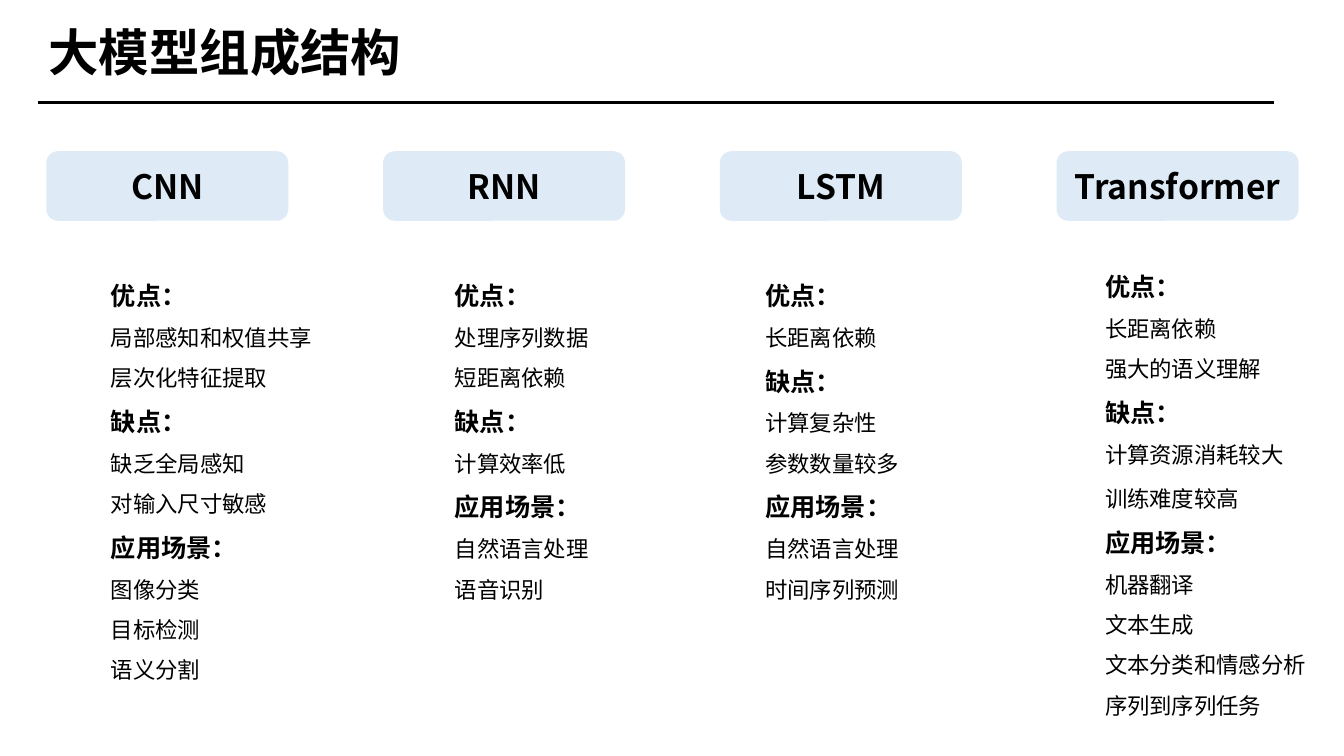
from lxml import etree
from pptx import Presentation
from pptx.dml.color import RGBColor
from pptx.enum.shapes import MSO_CONNECTOR as CONN, MSO_SHAPE as SHAPE
from pptx.enum.text import MSO_ANCHOR as ANCHOR, MSO_AUTO_SIZE as AUTO, PP_ALIGN as ALIGN
from pptx.oxml.ns import qn
from pptx.util import Inches, Pt

COLORS = {"text": "000000", "pill": "DEEBF7"}
MODELS = [
    ("CNN", (1, 2.58, 2.25, 4.29), [
        "优点：", "局部感知和权值共享", "层次化特征提取",
        "缺点：", "缺乏全局感知", "对输入尺寸敏感",
        "应用场景：", "图像分类", "目标检测", "语义分割"]),
    ("RNN", (4.41, 2.58, 1.78, 3.48), [
        "优点：", "处理序列数据", "短距离依赖",
        "缺点：", "计算效率低",
        "应用场景：", "自然语言处理", "语音识别"]),
    ("LSTM", (7.49, 2.58, 1.95, 3.48), [
        "优点：", "长距离依赖",
        "缺点：", "计算复杂性", "参数数量较多",
        "应用场景：", "自然语言处理", "时间序列预测"]),
    ("Transformer", (10.86, 2.49, 2.27, 4.74), [
        "优点：", "长距离依赖", "强大的语义理解",
        "缺点：", "计算资源消耗较大", "训练难度较高",
        "应用场景：", "机器翻译", "文本生成", "文本分类和情感分析", "序列到序列任务"]),
]


def style(p, size, bold, name="Arial"):
    p.font.name, p.font.size, p.font.bold = name, Pt(size), bold
    p.font.color.rgb = RGBColor.from_string(COLORS["text"])


def place(sp, box):
    sp.left, sp.top, sp.width, sp.height = [Inches(v) for v in box]
    tf = sp.text_frame
    tf.word_wrap = True
    tf.auto_size = AUTO.SHAPE_TO_FIT_TEXT
    tf.vertical_anchor = ANCHOR.TOP
    return tf


prs = Presentation()
prs.slide_width, prs.slide_height = Inches(13.33), Inches(7.5)
s = prs.slides.add_slide(prs.slide_layouts.get_by_name("Comparison"))

tf = place(s.shapes.title, (0.38, 0.16, 4.88, 0.71))
tf.text = "大模型组成结构"
p = tf.paragraphs[0]
p.alignment = ALIGN.LEFT
style(p, 36, True)

rule = s.shapes.add_connector(CONN.STRAIGHT, Inches(0.38), Inches(1.02), Inches(12.64), Inches(1.02))
rule.line.width = Pt(2.25)
rule.line.color.rgb = RGBColor.from_string(COLORS["text"])
etree.SubElement(rule._element.spPr, qn("a:effectLst"))

for i, (model, box, lines) in enumerate(MODELS):
    pill = s.shapes.add_shape(SHAPE.ROUNDED_RECTANGLE, Inches(0.46 + 3.34 * i), Inches(1.5),
                              Inches(2.4), Inches(0.69))
    pill.shadow.inherit = False
    pill.fill.solid()
    pill.fill.fore_color.rgb = RGBColor.from_string(COLORS["pill"])
    pill.line.fill.background()
    pill.text_frame.vertical_anchor = ANCHOR.MIDDLE
    pill.text_frame.text = model
    p = pill.text_frame.paragraphs[0]
    p.alignment = ALIGN.CENTER
    style(p, 24, True, "Noto Sans CJK SC")

    tf = place(s.placeholders[i + 1], box)
    tf.text = "\n".join(lines)
    for p in tf.paragraphs:
        heading = p.text.endswith("：")
        style(p, 18 if heading else 16, heading)
        p.line_spacing = 1.5
        p.space_before = Pt(3 if p.text == "训练难度较高" else 0)
        pPr = p._p.get_or_add_pPr()
        pPr.set("marL", "0")
        pPr.set("indent", "0")
        pPr.insert_element_before(pPr.makeelement(qn("a:buNone"), {}), "a:tabLst", "a:defRPr", "a:extLst")

prs.save("out.pptx")
